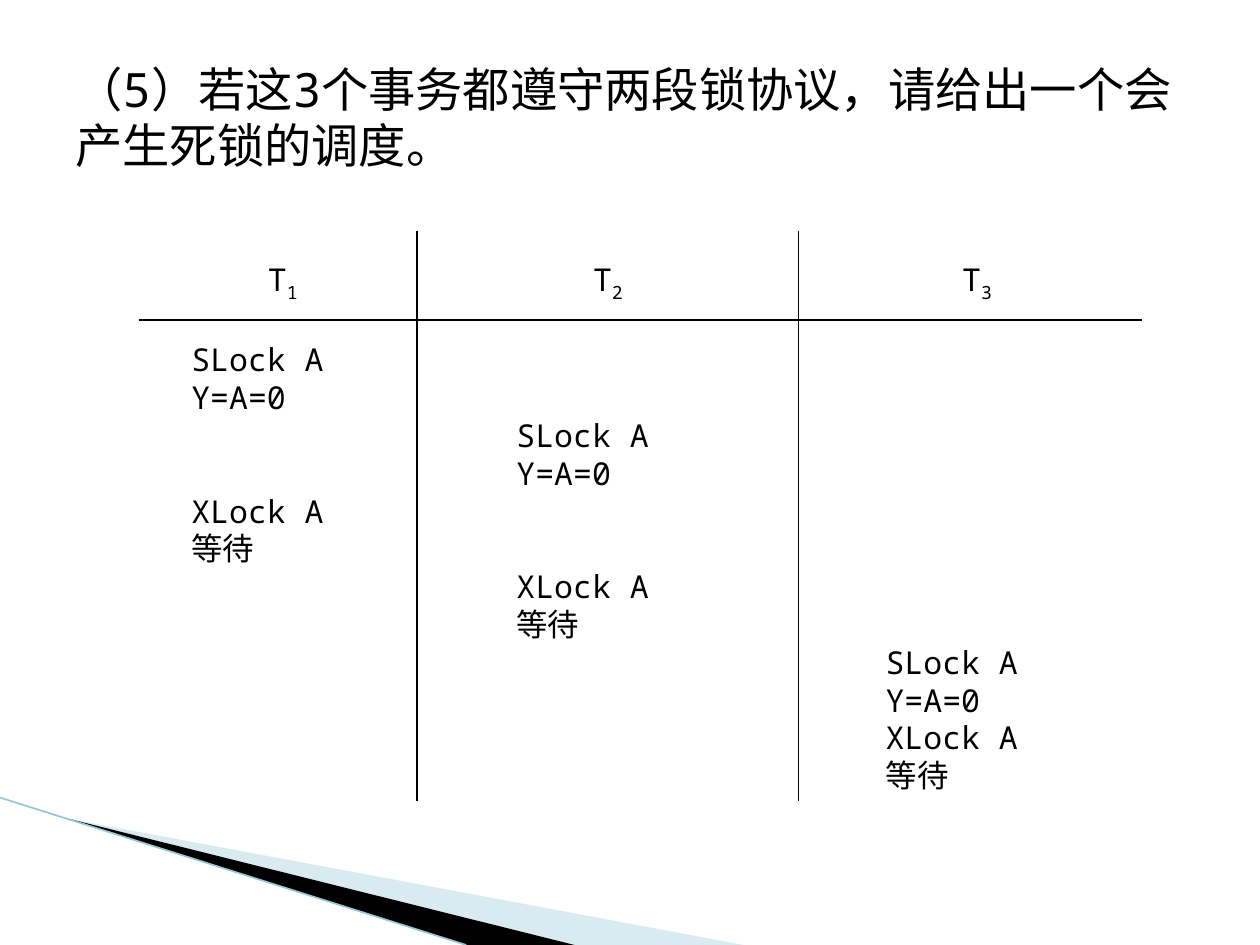
from dataclasses import dataclass

from pptx import Presentation
from pptx.dml.color import RGBColor
from pptx.enum.shapes import MSO_CONNECTOR
from pptx.enum.text import MSO_ANCHOR, PP_ALIGN
from pptx.oxml.ns import qn
from pptx.util import Inches, Pt
from lxml import etree

LINE = MSO_CONNECTOR.STRAIGHT
MIDDLE = MSO_ANCHOR.MIDDLE
CENTER, LEFT = PP_ALIGN.CENTER, PP_ALIGN.LEFT


@dataclass(frozen=True)
class Theme:
    ink: RGBColor = RGBColor(0, 0, 0)
    pale: RGBColor = RGBColor(0xA0, 0xCB, 0xDC)
    edge: RGBColor = RGBColor(0x97, 0xC5, 0xD8)
    font: str = "Noto Sans Mono"
    title: float = 27
    body: float = 18
    title_row: float = 32
    head_row: float = 24
    row: float = 21.6


THEME = Theme()

TITLE = "（5）若这3个事务都遵守两段锁协议，请给出一个会产生死锁的调度。"
READ = ["SLock A", "Y=A=0"]
WRITE = ["XLock A", "等待"]
# Each transaction: left edge, then (rows skipped, steps) in order of time
PLAN = [
    (0.32, [(1, READ), (2, WRITE)]),
    (2.9, [(3, READ), (2, WRITE)]),
    (5.83, [(9, READ + WRITE)]),
]


def add_line(slide, start, end, color, width):
    line = slide.shapes.add_connector(
        LINE, *(Inches(v) for v in (*start, *end)))
    line.line.color.rgb = color
    line.line.width = Pt(width)
    etree.SubElement(line._element.spPr, qn("a:effectLst"))


def add_shard(slide, points, color, alpha=None):
    """Draw a filled outline; alpha is its opacity in percent."""
    first, *rest = [(Inches(x), Inches(y)) for x, y in points]
    build = slide.shapes.build_freeform(*first)
    build.add_line_segments(rest, close=True)
    shard = build.convert_to_shape()
    shard.shadow.inherit = False
    shard.line.fill.background()
    shard.fill.solid()
    shard.fill.fore_color.rgb = color
    if alpha is not None:
        tint = shard._element.spPr.find(qn("a:solidFill"))[0]
        etree.SubElement(tint, qn("a:alpha"), val=str(alpha * 1000))


def add_box(slide, x, y, w, h):
    box = slide.shapes.add_textbox(*(Inches(v) for v in (x, y, w, h)))
    box.text_frame.word_wrap = True
    return box.text_frame


def style(para, size, row, align=LEFT):
    para.font.name = THEME.font
    para.font.size = Pt(size)
    para.font.color.rgb = THEME.ink
    para.line_spacing = Pt(row)
    para.alignment = align


def draw_corner(slide, x, y, w, h):
    """Fill the bottom left corner with slanted shards."""
    low = y + h
    tip = (x + 0.55, y + 0.17)
    add_shard(slide, [tip, (x + w, low), (x + 4.56, low)], THEME.pale, 40)
    add_shard(slide, [tip, (x + 4.56, low), (x + 3.7, low)], THEME.ink)
    add_line(slide, (x, y), (x + 3.7, low), THEME.edge, 0.95)


def draw_title(slide, x, y, w, h):
    frame = add_box(slide, x, y, w, h)
    frame.vertical_anchor = MIDDLE
    para = frame.paragraphs[0]
    para.text = TITLE
    style(para, THEME.title, THEME.title_row)


def draw_column(slide, x, y, w, h, index, blocks):
    frame = add_box(slide, x, y, w, h)
    head = frame.paragraphs[0]
    head.add_run().text = "T"
    sub = head.add_run()
    sub.text = str(index)
    sub.font._element.set("baseline", "-25000")
    style(head, THEME.body, THEME.head_row, CENTER)
    for skip, steps in blocks:
        for i, step in enumerate(steps):
            para = frame.add_paragraph()
            para.text = step
            style(para, THEME.body, THEME.row)
            if i == 0:
                para.space_before = Pt(skip * THEME.row)


def draw_plan(slide, x, y, w, h):
    """Draw the schedule: ruled lines and one column per transaction."""
    rule = y + 0.71
    add_line(slide, (x, rule), (x + w, rule), THEME.ink, 0.75)
    for dx in (2.21, 5.24):
        add_line(slide, (x + dx, y), (x + dx, y + h), THEME.ink, 0.75)
    for index, (dx, blocks) in enumerate(PLAN, 1):
        rows = 1 + sum(skip + len(steps) for skip, steps in blocks)
        tall = 0.1 + 0.3 * rows
        draw_column(slide, x + dx, y + 0.19, 1.65, tall, index, blocks)


def main():
    deck = Presentation()
    deck.slide_width, deck.slide_height = Inches(10), Inches(7.5)
    slide = deck.slides.add_slide(deck.slide_layouts[6])
    draw_corner(slide, 0, 6.33, 5.9, 1.17)
    draw_title(slide, 0.5, 0.3, 9, 1.25)
    draw_plan(slide, 1.1, 1.83, 7.96, 4.53)
    deck.save("out.pptx")


if __name__ == "__main__":
    main()
